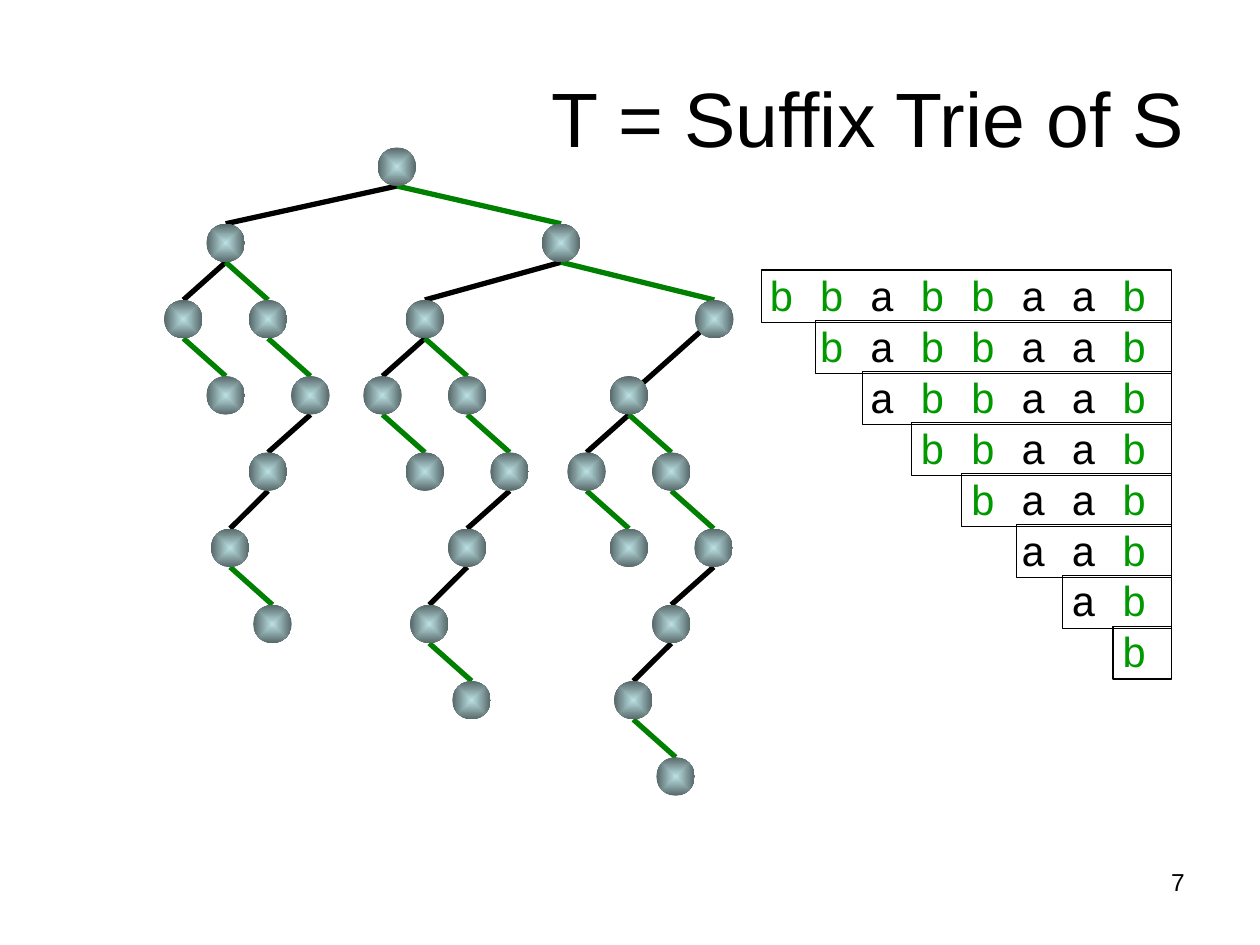
from itertools import groupby

from lxml import etree
from pptx import Presentation
from pptx.dml.color import RGBColor
from pptx.enum.shapes import MSO_CONNECTOR, MSO_SHAPE
from pptx.enum.text import MSO_ANCHOR, PP_ALIGN
from pptx.oxml import parse_xml
from pptx.oxml.ns import qn
from pptx.util import Pt

STRAIGHT = MSO_CONNECTOR.STRAIGHT
OVAL, RECTANGLE = MSO_SHAPE.OVAL, MSO_SHAPE.RECTANGLE
TOP, MIDDLE = MSO_ANCHOR.TOP, MSO_ANCHOR.MIDDLE
RIGHT = PP_ALIGN.RIGHT

COLORS = {
    "black": "000000",
    "edge_a": "000000",
    "edge_b": "008000",
    "letter_a": "000000",
    "letter_b": "009900",
    "node_center": "BBE0E3",
    "node_rim": "566768",
}
TITLE = "T = Suffix Trie of S"
PAGE_NUMBER = "7"
WORD = "bbabbaab"
FRAME_LEFTS = [435, 466, 493, 521, 549.4, 581, 607, 636]
FRAME_RIGHT, FRAME_TOP, FRAME_PITCH, FRAME_HEIGHT = 669.6, 154.2, 29.1, 30.2

TRUNK_X = {"": 226.8, "a": 129, "b": 320.6, "ba": 242.8, "bb": 408.2, "bba": 359.4}
BRANCH_ROOTS = ["a", "ba", "bba"]
BRANCH_OFFSETS = {
    "a": -24.2, "ab": 0, "b": 24.2, "bb": 48.4,
    "bba": 24.2, "bbaa": 2.5, "bbaab": 26.7,
}
SIDE_ENTRY = "bba"
ROOT_TOP, LEVEL_PITCH, NODE_SIZE = 84.3, 43.55, 22

PATH_XML = (
    '<a:path xmlns:a="http://schemas.openxmlformats.org/drawingml/2006/main" path="rect">'
    '<a:fillToRect l="50000" t="50000" r="50000" b="50000"/></a:path>'
)


def rgb(name):
    return RGBColor.from_string(COLORS[name])


def add_text(slide, paragraphs, *, box, size, font="Arial", anchor=TOP,
             left_inset=7.2, right_inset=7.2, line_spacing=None, space_before=None):
    frame = slide.shapes.add_textbox(*map(Pt, box)).text_frame
    frame.word_wrap = True
    frame.vertical_anchor = anchor
    frame.margin_left, frame.margin_right = Pt(left_inset), Pt(right_inset)
    for index, runs in enumerate(paragraphs):
        paragraph = frame.add_paragraph() if index else frame.paragraphs[0]
        paragraph.alignment = RIGHT
        if line_spacing:
            paragraph.line_spacing = line_spacing
        if space_before:
            paragraph.space_before = Pt(space_before)
        for text, color in runs:
            run = paragraph.add_run()
            run.text = text
            run.font.size, run.font.name = Pt(size), font
            run.font.color.rgb = rgb(color)


def add_edge(slide, start, end, color):
    edge = slide.shapes.add_connector(STRAIGHT, *map(Pt, (*start, *end)))
    edge.line.width = Pt(3)
    edge.line.color.rgb = rgb(color)
    etree.SubElement(edge._element.spPr, qn("a:effectLst"))


def add_node(slide, x, top):
    node = slide.shapes.add_shape(
        OVAL, Pt(x - NODE_SIZE / 2), Pt(top), Pt(NODE_SIZE), Pt(NODE_SIZE))
    node.shadow.inherit = False
    node.line.fill.background()
    node.fill.gradient()
    for stop, color in zip(node.fill.gradient_stops, ("node_center", "node_rim")):
        stop.color.rgb = rgb(color)
    linear = node._element.spPr.find(".//" + qn("a:lin"))
    linear.getparent().replace(linear, parse_xml(PATH_XML))


def trie_positions():
    columns = dict(TRUNK_X)
    for root in BRANCH_ROOTS:
        for tail, offset in BRANCH_OFFSETS.items():
            columns[root + tail] = TRUNK_X[root] + offset
    return {prefix: (x, ROOT_TOP + LEVEL_PITCH * len(prefix))
            for prefix, x in columns.items()}


def add_trie(slide):
    positions = trie_positions()
    for prefix, (x, top) in positions.items():
        if not prefix:
            continue
        parent_x, parent_top = positions[prefix[:-1]]
        start, end = (parent_x, parent_top + NODE_SIZE), (x, top)
        if prefix == SIDE_ENTRY:
            dx, dy = (x - parent_x) / 6, (top - parent_top) / 6
            start = (parent_x + dx, parent_top + NODE_SIZE / 2 + dy)
            end = (x - dx, top + NODE_SIZE / 2 - dy)
        add_edge(slide, start, end, "edge_" + prefix[-1])
    for x, top in positions.values():
        add_node(slide, x, top)


def letter_runs(suffix):
    runs = [(" ".join(group) + " ", "letter_" + letter)
            for letter, group in groupby(suffix)]
    last_text, last_color = runs[-1]
    return runs[:-1] + [(last_text.rstrip(), last_color)]


def add_suffixes(slide):
    suffixes = [WORD[start:] for start in range(len(WORD))]
    add_text(slide, [letter_runs(suffix) for suffix in suffixes],
             box=(432, 156.2, 236.9, 243.4), size=24, font="Courier New",
             left_inset=3.6, right_inset=13.6, line_spacing=0.8, space_before=6)
    for row, left in enumerate(FRAME_LEFTS):
        frame = slide.shapes.add_shape(
            RECTANGLE, Pt(left), Pt(FRAME_TOP + row * FRAME_PITCH),
            Pt(FRAME_RIGHT - left), Pt(FRAME_HEIGHT))
        frame.shadow.inherit = False
        frame.fill.background()
        frame.line.color.rgb = rgb("black")
        frame.line.width = Pt(0.75)


def main():
    deck = Presentation()
    deck.slide_width, deck.slide_height = Pt(720), Pt(540)
    slide = deck.slides.add_slide(deck.slide_layouts[6])
    add_text(slide, [[(TITLE, "black")]], box=(36, 21.6, 648, 90),
             size=44, anchor=MIDDLE)
    add_trie(slide)
    add_suffixes(slide)
    add_text(slide, [[(PAGE_NUMBER, "black")]], box=(516, 492, 168, 37.4), size=14)
    deck.save("out.pptx")


if __name__ == "__main__":
    main()
